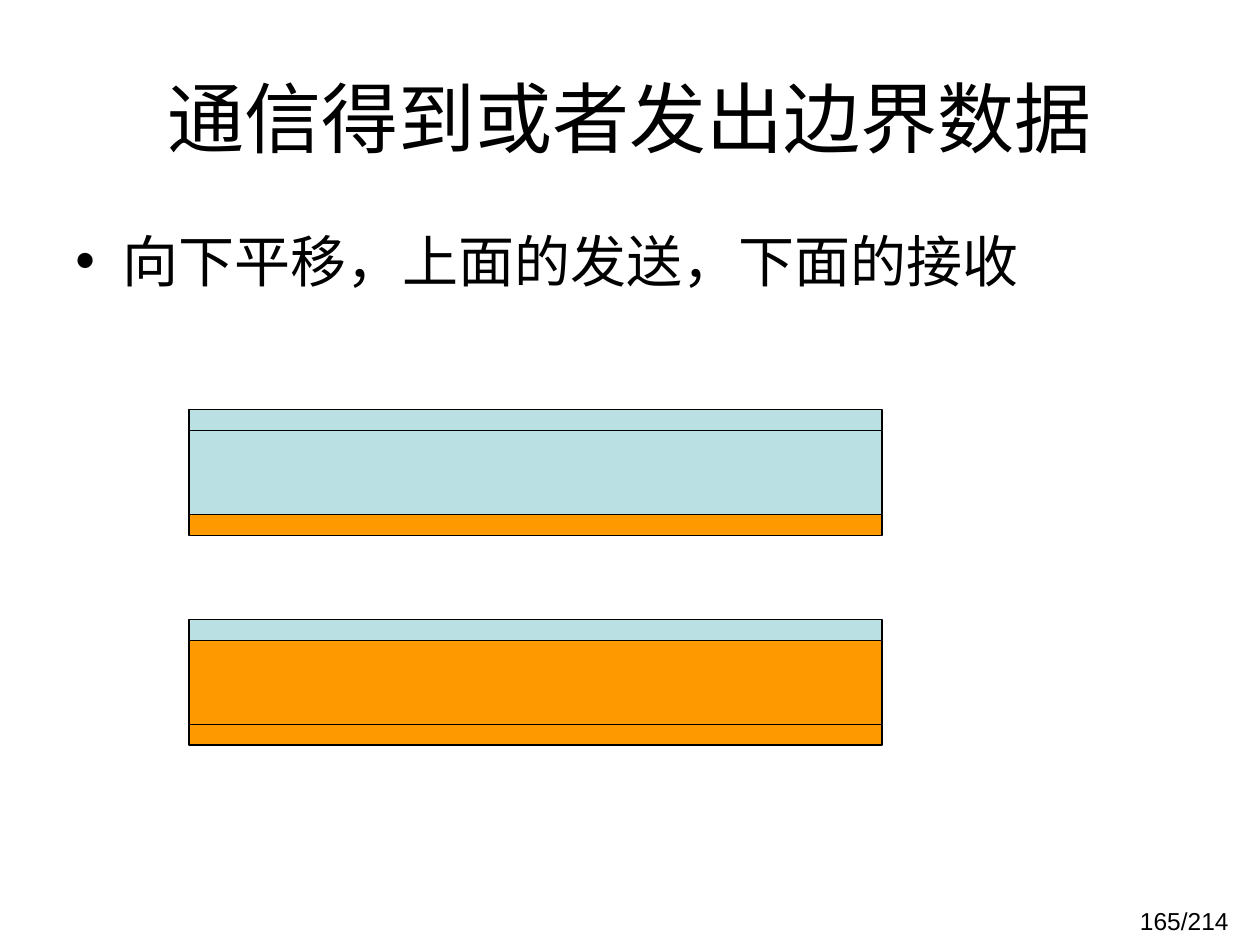
"""Build the slide on sending and receiving boundary data."""
from lxml.etree import SubElement
from pptx import Presentation
from pptx.dml.color import RGBColor
from pptx.enum.shapes import MSO_SHAPE
from pptx.enum.text import MSO_ANCHOR, PP_ALIGN
from pptx.oxml.ns import qn
from pptx.util import Cm, Pt

COLORS = {"ink": "000000", "blue": "BBE0E3", "gold": "FF9900"}


def add_text(slide, box, text, size, align, anchor=MSO_ANCHOR.TOP):
    label = slide.shapes.add_textbox(*[Cm(v) for v in box])
    frame = label.text_frame
    frame.word_wrap = True
    frame.vertical_anchor = anchor
    frame.text = text
    line = frame.paragraphs[0]
    line.alignment = align
    font = line.runs[0].font
    font.size = Pt(size)
    font.name = "Arial"
    font.color.rgb = RGBColor.from_string(COLORS["ink"])
    return line


def add_band(slide, top, height, color):
    band = slide.shapes.add_shape(
        MSO_SHAPE.RECTANGLE, Cm(3.81), Cm(top), Cm(13.97), Cm(height))
    band.shadow.inherit = False
    band.fill.solid()
    band.fill.fore_color.rgb = RGBColor.from_string(COLORS[color])
    band.line.color.rgb = RGBColor.from_string(COLORS["ink"])
    band.line.width = Pt(0.75)


deck = Presentation()
deck.slide_width, deck.slide_height = Cm(25.4), Cm(19.05)
slide = deck.slides.add_slide(deck.slide_layouts[6])

add_text(slide, (1.27, 0.76, 22.86, 3.18), "通信得到或者发出边界数据", 44,
         PP_ALIGN.CENTER, MSO_ANCHOR.MIDDLE)

point = add_text(slide, (1.27, 4.45, 22.86, 12.57),
                 "向下平移，上面的发送，下面的接收", 32, PP_ALIGN.LEFT)
point.space_before = Pt(8)
props = point._p.get_or_add_pPr()
props.set("marL", str(Cm(0.95)))
props.set("indent", str(-Cm(0.95)))
SubElement(props, qn("a:buFont"), typeface="Arial")
SubElement(props, qn("a:buChar"), char="•")

THIN, THICK = 0.42, 1.69
for top, core in ((8.26, "blue"), (12.49, "gold")):
    add_band(slide, top + THIN, THICK, core)
    add_band(slide, top + THIN + THICK, THIN, "gold")
    add_band(slide, top, THIN, "blue")

add_text(slide, (19.1, 18.14, 5.92, 0.91), "165/214", 14, PP_ALIGN.RIGHT)

deck.save("out.pptx")
